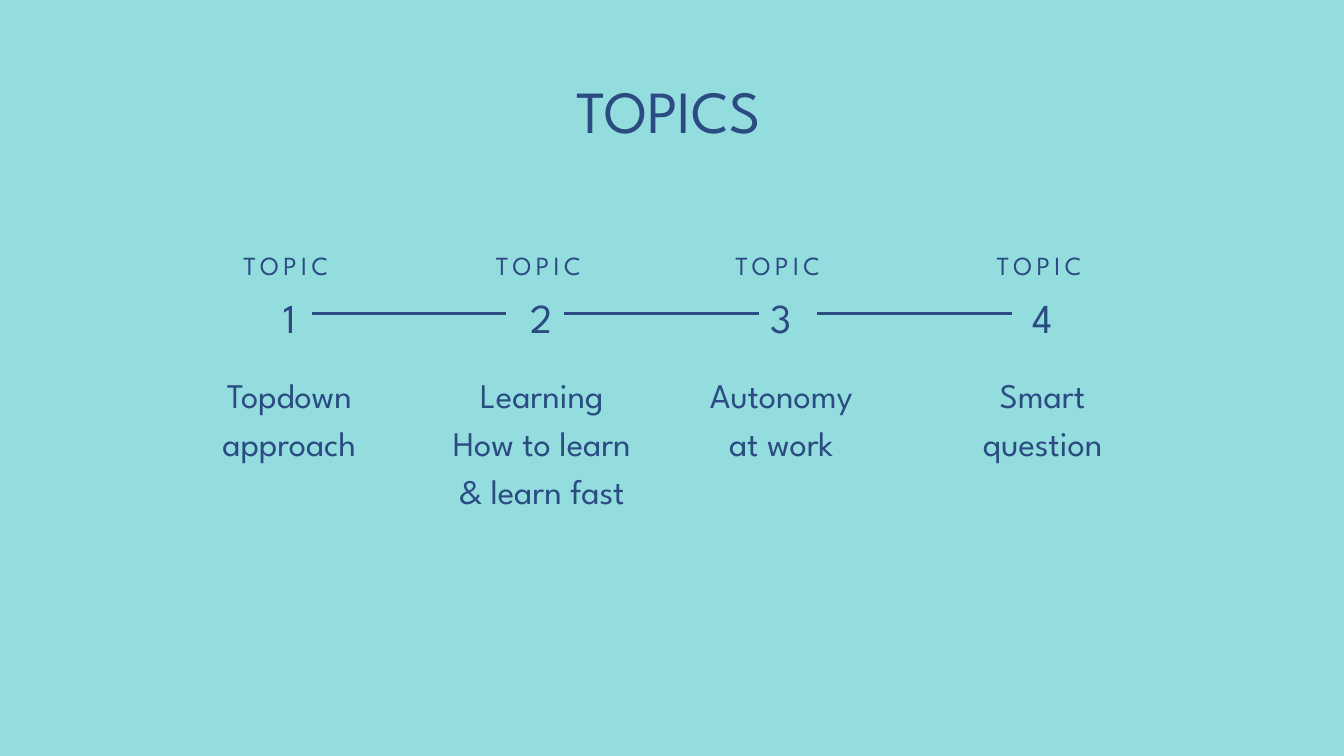
import dataclasses

import pptx
import pptx.dml.color
import pptx.enum.shapes
import pptx.enum.text
import pptx.oxml.ns
import pptx.util
from lxml import etree

Pt = pptx.util.Pt


@dataclasses.dataclass(frozen=True)
class Theme:
    font: str = "League Spartan"
    ink: str = "2B4B82"
    ground: str = "94DDDE"
    title_size: float = 64
    label_size: float = 28
    number_size: float = 44
    caption_size: float = 37
    line_width: float = 3


class TopicPage:
    """Holds the theme and the slide being drawn."""

    def __init__(self, page, theme):
        self.page = page
        self.theme = theme
        self.ink = pptx.dml.color.RGBColor.from_string(theme.ink)
        fill = page.background.fill
        fill.solid()
        fill.fore_color.rgb = pptx.dml.color.RGBColor.from_string(theme.ground)

    def text(self, text, *, centre, top, width, size, leading, spacing=0):
        """Add centred text, one paragraph to each line, around x = centre."""
        lines = text.split("\n")
        box = self.page.shapes.add_textbox(
            Pt(centre - width / 2), Pt(top), Pt(width), Pt(leading * len(lines)))
        frame = box.text_frame
        frame.margin_left = frame.margin_right = 0
        frame.margin_top = frame.margin_bottom = 0
        frame.word_wrap = True
        frame.auto_size = pptx.enum.text.MSO_AUTO_SIZE.SHAPE_TO_FIT_TEXT
        for index, line in enumerate(lines):
            para = frame.add_paragraph() if index else frame.paragraphs[0]
            para.alignment = pptx.enum.text.PP_ALIGN.CENTER
            para.line_spacing = Pt(leading)
            span = para.add_run()
            span.text = line
            span.font.name = self.theme.font
            span.font.size = Pt(size)
            span.font.color.rgb = self.ink
            if spacing:
                span._r.get_or_add_rPr().set("spc", str(round(spacing * 100)))

    def line(self, left, right, y):
        connector = self.page.shapes.add_connector(
            pptx.enum.shapes.MSO_CONNECTOR.STRAIGHT, Pt(left), Pt(y), Pt(right), Pt(y))
        connector.line.color.rgb = self.ink
        connector.line.width = Pt(self.theme.line_width)
        etree.SubElement(connector._element.spPr, pptx.oxml.ns.qn("a:effectLst"))


TOPICS = [  # centre, label width, caption width, caption
    (310, 194, 194, "Topdown\napproach"),
    (580.5, 190, 246, "Learning\nHow to learn\n& learn fast"),
    (837, 194, 194, "Autonomy\nat work"),
    (1117, 211, 211, "Smart\nquestion"),
]
LABEL_SHIFT = -3.75
FIRST_LINE_LEFT, LINE_PITCH, LINE_LENGTH, LINE_Y = 334, 270.75, 208.5, 335.5


def main():
    deck = pptx.Presentation()
    deck.slide_width, deck.slide_height = Pt(1440), Pt(810)
    theme = Theme()
    topics = TopicPage(deck.slides.add_slide(deck.slide_layouts[6]), theme)

    topics.text("TOPICS", centre=716, top=79.2, width=1271,
                size=theme.title_size, leading=76.8)

    for number, (centre, label_width, caption_width, caption) in enumerate(TOPICS, 1):
        topics.text("TOPIC", centre=centre + LABEL_SHIFT, top=261.4, width=label_width,
                    size=theme.label_size, leading=39.2, spacing=4.8)
        topics.text(str(number), centre=centre, top=304.6, width=47.5,
                    size=theme.number_size, leading=61.6, spacing=7.5)
        topics.text(caption, centre=centre, top=393, width=caption_width,
                    size=theme.caption_size, leading=51.8)

    for gap in range(len(TOPICS) - 1):
        left = FIRST_LINE_LEFT + gap * LINE_PITCH
        topics.line(left, left + LINE_LENGTH, LINE_Y)

    deck.save("out.pptx")


if __name__ == "__main__":
    main()
